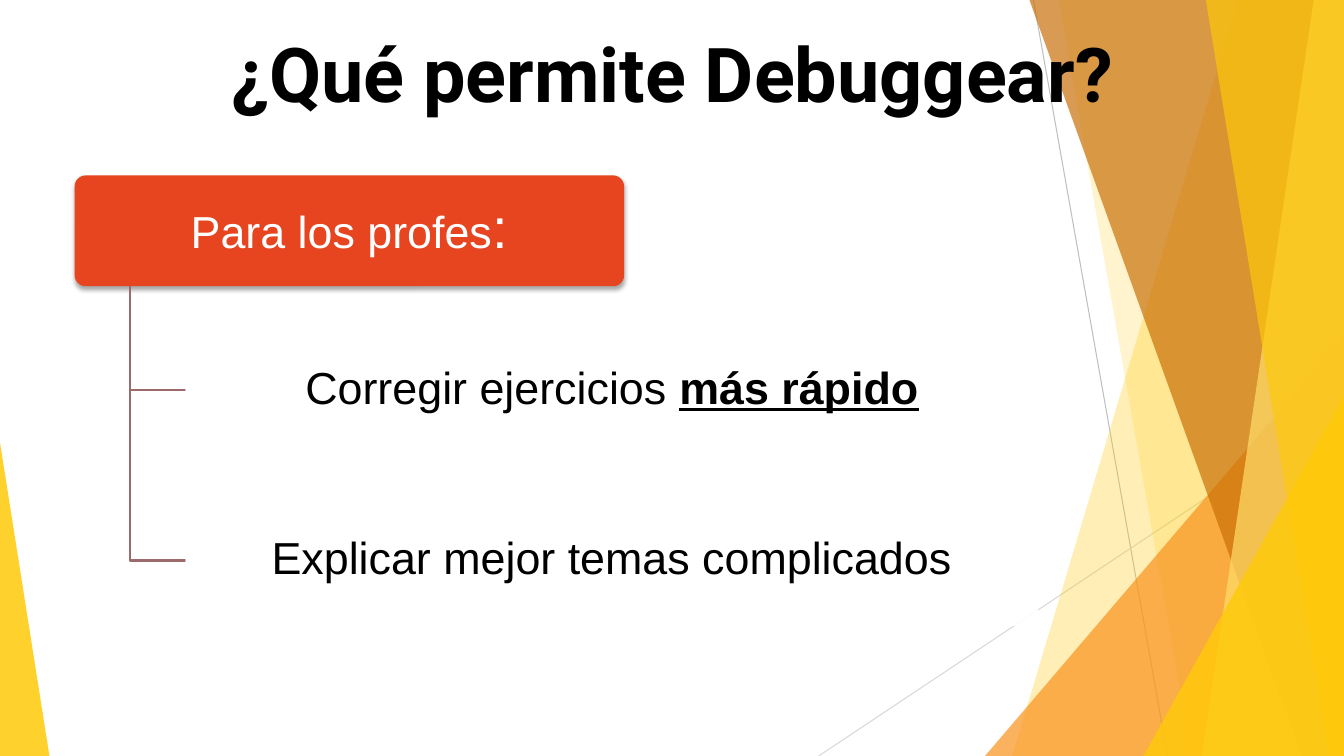
from lxml.etree import SubElement
from pptx import Presentation
from pptx.dml.color import RGBColor
from pptx.enum.shapes import MSO_CONNECTOR as CONNECTOR, MSO_SHAPE as SHAPE
from pptx.enum.text import MSO_ANCHOR as ANCHOR, MSO_AUTO_SIZE as AUTO_SIZE, PP_ALIGN as ALIGN
from pptx.oxml.ns import qn
from pptx.util import Inches, Pt

WIDTH, HEIGHT = 13.33, 7.5
COLORS = {
    "black": "000000", "white": "FFFFFF", "header": "E64520", "branch": "9C6A6A",
    "yellow": "FFCA08", "pale": "FFDE6A", "orange": "F8931D", "brown": "C96F06",
    "gray": "BFBFBF", "light_gray": "D8D8D8",
}


def rgb(name):
    return RGBColor.from_string(COLORS[name])


def fill_shape(shape, color, opacity=100):
    shape.shadow.inherit = False
    shape.line.fill.background()
    shape.fill.solid()
    shape.fill.fore_color.rgb = rgb(color)
    if opacity < 100:
        srgb = shape.fill._xPr.find(qn("a:solidFill")).find(qn("a:srgbClr"))
        SubElement(srgb, qn("a:alpha"), val=str(opacity * 1000))


def add_path(slide, points, close):
    (start_x, start_y), *rest = [(Inches(x), Inches(y)) for x, y in points]
    builder = slide.shapes.build_freeform(start_x, start_y)
    builder.add_line_segments(rest, close=close)
    return builder.convert_to_shape()


def add_ray(slide, start, end, color):
    ray = slide.shapes.add_connector(CONNECTOR.STRAIGHT, *map(Inches, start + end))
    ray.line.color.rgb = rgb(color)
    ray.line.width = Pt(0.75)
    SubElement(ray._element.spPr, qn("a:effectLst"))


def add_band(slide, top_x, bottom_x, color, opacity):
    """Slanted edge on the left, slide edge on the right."""
    corners = [(top_x, 0), (WIDTH, 0), (WIDTH, HEIGHT), (bottom_x, HEIGHT)]
    fill_shape(add_path(slide, corners, close=True), color, opacity)


def add_corner(slide, left, top, width, apex, color, opacity):
    """Triangle standing on the bottom edge of the slide."""
    corner = slide.shapes.add_shape(
        SHAPE.ISOSCELES_TRIANGLE, Inches(left), Inches(top), Inches(width), Inches(HEIGHT - top))
    corner.adjustments[0] = apex
    fill_shape(corner, color, opacity)


def add_backdrop(slide):
    add_ray(slide, (10.25, 0), (11.58, HEIGHT), "gray")
    add_ray(slide, (WIDTH, 4.03), (8.12, HEIGHT), "light_gray")
    add_band(slide, 12.28, 10.04, "yellow", 29)
    add_band(slide, 10.5, 11.82, "yellow", 20)
    add_corner(slide, 9.77, 3.33, 3.56, 1, "orange", 71)
    add_band(slide, 10.21, 12.91, "brown", 69)
    add_band(slide, 13.03, 11.92, "pale", 69)
    add_band(slide, 11.96, 13.18, "yellow", 65)
    add_corner(slide, 11.34, 3.93, 1.99, 1, "yellow", 80)
    add_corner(slide, 0, 4.39, 0.49, 0, "yellow", 85)


def add_run(paragraph, text, font, size, color, bold=False, underline=False):
    run = paragraph.add_run()
    run.text = text
    run.font.name = font
    run.font.size = Pt(size)
    run.font.color.rgb = rgb(color)
    run.font.bold = bold
    run.font.underline = underline


def add_title(slide, left, top, width, height):
    title = slide.shapes.title
    title.left, title.top, title.width, title.height = map(Inches, (left, top, width, height))
    frame = title.text_frame
    frame.auto_size = AUTO_SIZE.NONE
    frame.vertical_anchor = ANCHOR.MIDDLE
    heading = frame.paragraphs[0]
    heading.alignment = ALIGN.CENTER
    add_run(heading, "¿Qué permite Debuggear?", "Roboto", 54, "black", bold=True)
    # The title stands in front of the backdrop
    title._element.getparent().append(title._element)


def add_card(slide, left, top, width, height, color, opacity=100):
    """Rounded card; returns it with its centred paragraph."""
    card = slide.shapes.add_shape(
        SHAPE.ROUNDED_RECTANGLE, Inches(left), Inches(top), Inches(width), Inches(height))
    card.adjustments[0] = 0.1
    fill_shape(card, color, opacity)
    frame = card.text_frame
    frame.word_wrap = True
    frame.vertical_anchor = ANCHOR.MIDDLE
    frame.margin_left = frame.margin_right = Inches(0.1)
    frame.margin_top = frame.margin_bottom = Inches(0.07)
    label = frame.paragraphs[0]
    label.alignment = ALIGN.CENTER
    label.line_spacing = 0.9
    return card, label


def add_soft_shadow(card):
    effects = card._element.spPr.find(qn("a:effectLst"))
    shadow = SubElement(effects, qn("a:outerShdw"), blurRad=str(Pt(3.1)), dist=str(Pt(1.8)),
                        dir="5400000", algn="ctr", rotWithShape="0")
    tint = SubElement(shadow, qn("a:srgbClr"), val=COLORS["black"])
    SubElement(tint, qn("a:alpha"), val="35000")


def add_hierarchy(slide, left, top, width, header_height):
    # Header
    header, label = add_card(slide, left, top, width, header_height, "header")
    add_soft_shadow(header)
    add_run(label, "Para los profes", "Arial", 32, "white")
    add_run(label, ":", "Arial", 40, "white")

    # Benefits hanging from the header
    benefits = [
        [("Corregir ejercicios ", False), ("más rápido", True)],
        [("Explicar mejor temas complicados", False)],
    ]
    indent, card_width, card_height, pitch = 0.55, 8.46, 1.3, 1.69
    trunk_x, card_x, header_bottom = left + indent, left + 2 * indent, top + header_height
    for index, parts in enumerate(benefits):
        card_top = header_bottom + 0.38 + index * pitch
        middle = card_top + card_height / 2
        branch = add_path(
            slide, [(trunk_x, header_bottom), (trunk_x, middle), (card_x, middle)], close=False)
        branch.shadow.inherit = False
        branch.fill.background()
        branch.line.color.rgb = rgb("branch")
        branch.line.width = Pt(2)
        _, label = add_card(slide, card_x, card_top, card_width, card_height, "white", 90)
        for text, stressed in parts:
            add_run(label, text, "Arial", 32, "black", bold=stressed, underline=stressed)


def main():
    deck = Presentation()
    deck.slide_width, deck.slide_height = Inches(WIDTH), Inches(HEIGHT)
    slide = deck.slides.add_slide(deck.slide_layouts[5])
    add_backdrop(slide)
    add_title(slide, 1.15, 0.21, 11.04, 1.01)
    add_hierarchy(slide, 0.74, 1.74, 5.45, 1.1)
    deck.save("out.pptx")


if __name__ == "__main__":
    main()
